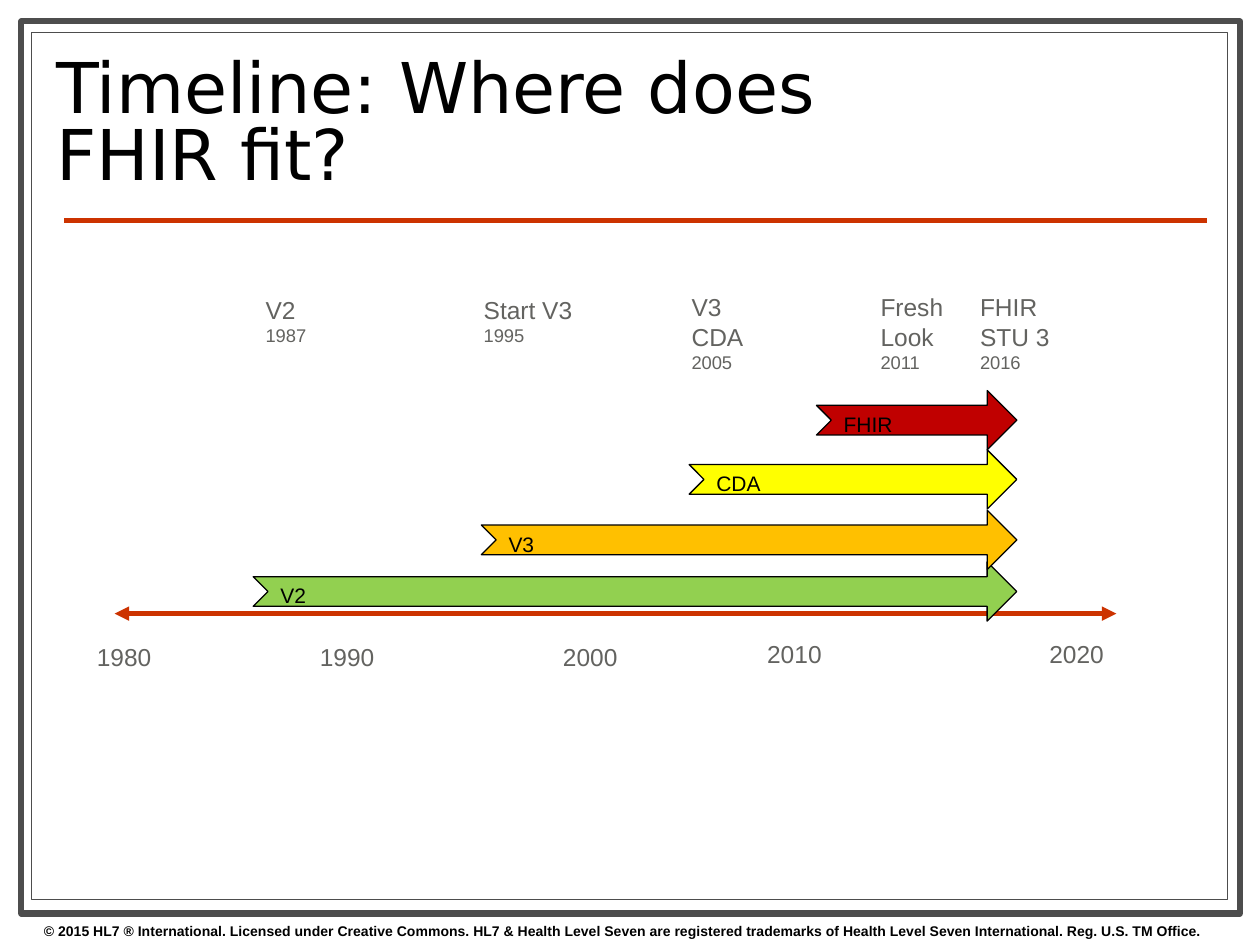
import pptx
import pptx.dml.color
import pptx.enum.shapes
import pptx.enum.text
import pptx.oxml.ns
import pptx.util
from lxml import etree
from pptx.util import Inches

COLORS = {
    "white": "FFFFFF", "black": "000000", "frame": "4D4D4D", "accent": "CC3300",
    "label": "636360", "V2": "92D050", "V3": "FFC000", "CDA": "FFFF00", "FHIR": "C00000",
}
ARROWS_END = 8.07
ARROWS = [("CDA", 5.47, 3.57), ("V2", 2.01, 4.46), ("V3", 3.82, 4.05), ("FHIR", 6.48, 3.1)]
YEARS = [("1980", 0.67, 5.05), ("1990", 2.44, 5.05), ("2000", 4.37, 5.05),
         ("2010", 5.99, 5.02), ("2020", 8.23, 5.02)]
MILESTONES = [
    (["V2"], "1987", 2.01, 2.29, 0.53),
    (["Start V3"], "1995", 3.74, 2.29, 0.91),
    (["V3", "CDA"], "2005", 5.39, 2.27, 0.62),
    (["Fresh", "Look"], "2011", 6.89, 2.27, 0.7),
    (["FHIR", "STU 3"], "2016", 7.68, 2.27, 0.76),
]


def color(name):
    return pptx.dml.color.RGBColor.from_string(COLORS[name])


def set_font(paragraph, size, color_name, name="Arial", bold=False):
    font = paragraph.font
    font.name = name
    font.size = pptx.util.Pt(size)
    font.bold = bold
    font.color.rgb = color(color_name)


def add_shape(slide, preset, box, fill, line, line_width):
    shape = slide.shapes.add_shape(preset, *map(Inches, box))
    shape.shadow.inherit = False
    shape.fill.solid()
    shape.fill.fore_color.rgb = color(fill)
    shape.line.color.rgb = color(line)
    shape.line.width = pptx.util.Pt(line_width)
    return shape


def add_text(slide, box, lines, wrap=False):
    text_frame = slide.shapes.add_textbox(*map(Inches, box)).text_frame
    text_frame.word_wrap = wrap
    text_frame.text = "\n".join(lines)
    return text_frame


def add_line(slide, left, right, y, width, arrowheads=False):
    line = slide.shapes.add_connector(
        pptx.enum.shapes.MSO_CONNECTOR.STRAIGHT,
        Inches(left), Inches(y), Inches(right), Inches(y))
    line.line.color.rgb = color("accent")
    line.line.width = pptx.util.Pt(width)
    if arrowheads:
        for end in ("a:headEnd", "a:tailEnd"):
            etree.SubElement(line.line._get_or_add_ln(), pptx.oxml.ns.qn(end), type="triangle")
    etree.SubElement(line._element.spPr, pptx.oxml.ns.qn("a:effectLst"))


def add_arrow(slide, label, left, top):
    preset = pptx.enum.shapes.MSO_SHAPE.NOTCHED_RIGHT_ARROW
    shape = add_shape(slide, preset, (left, top, ARROWS_END - left, 0.47), label, "black", 0.75)
    text_frame = shape.text_frame
    text_frame.text = label
    text_frame.vertical_anchor = pptx.enum.text.MSO_ANCHOR.TOP
    paragraph = text_frame.paragraphs[0]
    paragraph.alignment = pptx.enum.text.PP_ALIGN.LEFT
    set_font(paragraph, 12, "black")


def add_year(slide, year, left, top):
    text_frame = add_text(slide, (left, top, 0.64, 0.34), [year])
    set_font(text_frame.paragraphs[0], 14, "label")


def add_milestone(slide, names, year, left, top, width):
    height = 0.26 + 0.25 * len(names)
    text_frame = add_text(slide, (left, top, width, height), names + [year])
    for paragraph in text_frame.paragraphs:
        set_font(paragraph, 14, "label")
    text_frame.paragraphs[-1].font.size = pptx.util.Pt(10.5)


def add_frame(slide):
    rectangle = pptx.enum.shapes.MSO_SHAPE.RECTANGLE
    add_shape(slide, rectangle, (0.17, 0.17, 9.67, 7.08), "white", "frame", 3.5)
    add_shape(slide, rectangle, (0.25, 0.26, 9.49, 6.88), "white", "frame", 0.75)
    add_line(slide, 0.51, 9.58, 1.75, 3)
    footer = add_text(slide, (0.25, 7.27, 10, 0.23), [
        "© 2015 HL7 ® International. Licensed under Creative Commons. "
        "HL7 & Health Level Seven are registered trademarks of "
        "Health Level Seven International. Reg. U.S. TM Office."], wrap=True)
    set_font(footer.paragraphs[0], 8, "black", bold=True)


def add_title(slide):
    title = add_text(slide, (0.35, 0.36, 7.17, 1.29),
                     ["Timeline: Where does FHIR fit?"], wrap=True)
    title.vertical_anchor = pptx.enum.text.MSO_ANCHOR.MIDDLE
    title.paragraphs[0].line_spacing = 0.8
    set_font(title.paragraphs[0], 40, "black", name="DejaVu Sans")


def main():
    presentation = pptx.Presentation()
    presentation.slide_width = Inches(10)
    presentation.slide_height = Inches(7.5)
    slide = presentation.slides.add_slide(presentation.slide_layouts[6])
    add_frame(slide)
    add_title(slide)
    add_line(slide, 0.91, 8.86, 4.87, 2.75, arrowheads=True)
    for year in YEARS:
        add_year(slide, *year)
    for milestone in MILESTONES:
        add_milestone(slide, *milestone)
    for arrow in ARROWS:
        add_arrow(slide, *arrow)
    presentation.save("out.pptx")


if __name__ == "__main__":
    main()
